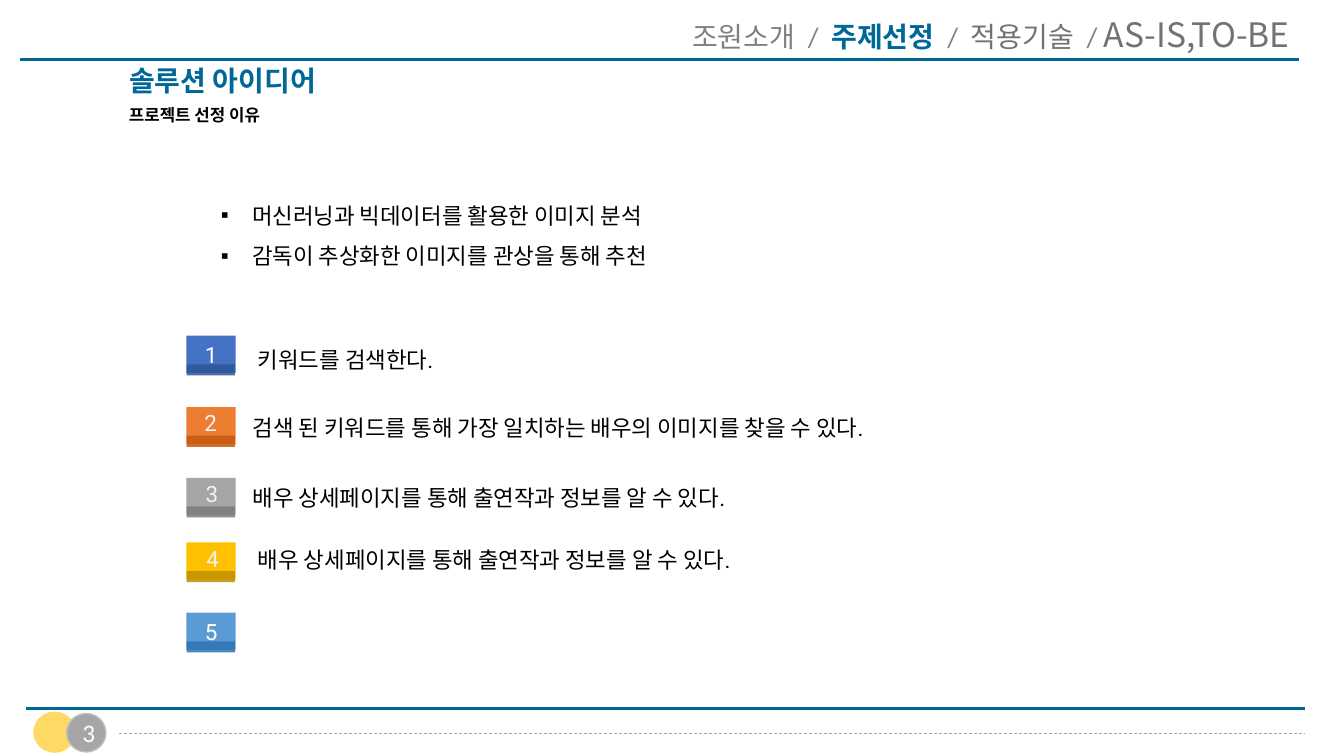
"""Build the solution idea slide with its menu, bullets and numbered steps."""
from dataclasses import dataclass
from typing import Any, Optional

from lxml.etree import SubElement
from pptx import Presentation
from pptx.dml.color import RGBColor
from pptx.enum.dml import MSO_LINE
from pptx.enum.shapes import MSO_CONNECTOR as Link, MSO_SHAPE as Form
from pptx.enum.text import MSO_ANCHOR as Anchor, MSO_AUTO_SIZE as Auto, PP_ALIGN as Align
from pptx.oxml.ns import qn
from pptx.util import Cm, Pt

BLUE = RGBColor(0x00, 0x68, 0x98)
BLACK = RGBColor(0x00, 0x00, 0x00)
WHITE = RGBColor(0xFF, 0xFF, 0xFF)
PALE = RGBColor(0xF2, 0xF2, 0xF2)
GREY = RGBColor(0x80, 0x80, 0x80)
WARM = RGBColor(0x76, 0x71, 0x71)
ASH = RGBColor(0xA6, 0xA6, 0xA6)
EDGE = RGBColor(0xBF, 0xBF, 0xBF)
SAND = RGBColor(0xFF, 0xD9, 0x66)
ROYAL, NAVY = RGBColor(0x44, 0x72, 0xC4), RGBColor(0x2F, 0x55, 0x97)
ORANGE, RUST = RGBColor(0xED, 0x7D, 0x31), RGBColor(0xC5, 0x5A, 0x11)
STONE, SLATE = RGBColor(0xA5, 0xA5, 0xA5), RGBColor(0x7C, 0x7C, 0x7C)
GOLD, BRONZE = RGBColor(0xFF, 0xC0, 0x00), RGBColor(0xBF, 0x90, 0x00)
SKY, OCEAN = RGBColor(0x5B, 0x9B, 0xD5), RGBColor(0x2E, 0x75, 0xB6)

HAN = "Noto Sans CJK KR"
SANS = "Calibri"
STEP = "Roboto"


@dataclass
class Style:
    size: float
    color: RGBColor
    name: str = SANS
    bold: bool = False


@dataclass
class Box:
    left: float
    top: float
    width: float
    height: float

    def cm(self) -> list[Cm]:
        return [Cm(n) for n in (self.left, self.top, self.width, self.height)]


@dataclass
class Rule:
    left: float
    right: float
    top: float
    color: RGBColor
    width: float = 2.25
    dash: Any = None
    alpha: Optional[int] = None


@dataclass
class Badge:
    label: str
    top: float
    fill: RGBColor
    base: RGBColor
    spot: Optional[tuple[float, float]] = None
    text: str = ""
    left: float = 0
    rise: float = 0


def put(item: Any, form: dict[str, Any]) -> None:
    for key, value in form.items():
        setattr(item, key, value)


def write(para: Any, text: str, style: Style, gap: float = 0) -> None:
    run = para.add_run()
    run.text = text
    put(run.font, {"size": Pt(style.size), "name": style.name, "bold": style.bold})
    run.font.color.rgb = style.color
    props = run.font._element
    SubElement(props, qn("a:ea")).set("typeface", HAN)
    if gap:
        props.set("spc", str(round(gap * 100)))


def note(slide: Any, box: Box, text: str, style: Style, **form: Any) -> Any:
    frame = slide.shapes.add_textbox(*box.cm()).text_frame
    put(frame, {"word_wrap": True, **form})
    if text:
        write(frame.paragraphs[0], text, style)
    return frame


def block(slide: Any, kind: Any, box: Box, fill: RGBColor,
          text: str = "", style: Optional[Style] = None) -> Any:
    shape = slide.shapes.add_shape(kind, *box.cm())
    shape.shadow.inherit = False
    shape.fill.solid()
    shape.fill.fore_color.rgb = fill
    shape.line.fill.background()
    if style and text:
        shape.text_frame.vertical_anchor = Anchor.MIDDLE
        para = shape.text_frame.paragraphs[0]
        para.alignment = Align.CENTER
        write(para, text, style)
    return shape


def draw(slide: Any, rule: Rule) -> None:
    y = Cm(rule.top)
    link = slide.shapes.add_connector(Link.STRAIGHT, Cm(rule.left), y, Cm(rule.right), y)
    link.line.color.rgb = rule.color
    put(link.line, {"width": Pt(rule.width), "dash_style": rule.dash})
    props = link._element.spPr
    if rule.alpha:
        tint = props.find(".//" + qn("a:srgbClr"))
        SubElement(tint, qn("a:alpha")).set("val", str(rule.alpha * 1000))
    SubElement(props, qn("a:effectLst"))


def step(slide: Any, badge: Badge) -> None:
    inner = "" if badge.spot else badge.label
    block(slide, Form.RECTANGLE, Box(4.7, badge.top, 1.24, 0.94), badge.fill,
          inner, Style(16, WHITE, STEP))
    draw(slide, Rule(4.7, 5.92, badge.top + 0.86, badge.base, 8, alpha=85))
    if badge.spot:
        x, y = badge.spot
        side, edge = Cm(0.3), Cm(0.13)
        frame = note(slide, Box(4.7 + x, badge.top + y, 0.91, 0.71), badge.label,
                     Style(16, PALE, STEP), vertical_anchor=Anchor.MIDDLE,
                     margin_left=side, margin_right=side, margin_top=edge, margin_bottom=edge)
        put(frame.paragraphs[0], {"alignment": Align.CENTER, "line_spacing": 0.9})
    if badge.text:
        note(slide, Box(badge.left, badge.top + badge.rise, 22.63, 0.94), badge.text,
             Style(16, BLACK, STEP))


def head(slide: Any) -> None:
    title = slide.shapes.title
    put(title, dict(zip(("left", "top", "width", "height"), Box(3, 1.65, 16.33, 0.84).cm())))
    put(title.text_frame, {"auto_size": Auto.NONE, "vertical_anchor": Anchor.MIDDLE})
    para = title.text_frame.paragraphs[0]
    put(para, {"alignment": Align.LEFT, "line_spacing": 0.9})
    write(para, "솔루션 아이디어", Style(20, BLUE, HAN, True))
    note(slide, Box(3, 2.51, 7.24, 0.76), "프로젝트 선정 이유", Style(12, BLACK, bold=True))


def menu(slide: Any) -> None:
    para = note(slide, Box(14.94, 0.23, 17.81, 2.13), "", Style(20, GREY)).paragraphs[0]
    para.alignment = Align.RIGHT
    grey = Style(20, GREY)
    parts = [("조원소개", grey), ("/", grey), ("주제선정", Style(20, BLUE, bold=True)),
             ("/", grey), ("적용기술", Style(20, WARM))]
    for text, style in parts:
        write(para, text, style)
        write(para, " ", style, 4.5)
    write(para, "/ ", grey)
    write(para, "AS-IS,TO-BE", Style(24, WARM, HAN))


def points(slide: Any) -> None:
    body = slide.placeholders[1]
    put(body, dict(zip(("left", "top", "width", "height"), Box(5.31, 4.62, 22.33, 2.18).cm())))
    frame = body.text_frame
    put(frame, {"auto_size": Auto.NONE, "vertical_anchor": Anchor.TOP})
    lines = ["머신러닝과 빅데이터를 활용한 이미지 분석", "감독이 추상화한 이미지를 관상을 통해 추천"]
    for i, text in enumerate(lines):
        para = frame.add_paragraph() if i else frame.paragraphs[0]
        put(para, {"line_spacing": 1.5, "space_before": Pt(0), "alignment": Align.LEFT})
        props = para._p.get_or_add_pPr()
        props.set("marL", str(Cm(0.79)))
        props.set("indent", str(-Cm(0.79)))
        SubElement(props, qn("a:buChar")).set("char", "▪")
        write(para, text, Style(16, BLACK))


def main() -> None:
    deck = Presentation()
    put(deck, {"slide_width": Cm(33.87), "slide_height": Cm(19.05)})
    slide = deck.slides.add_slide(deck.slide_layouts[1])
    head(slide)
    block(slide, Form.OVAL, Box(0.84, 17.93, 1.07, 1.04), SAND)
    page = block(slide, Form.OVAL, Box(1.68, 17.98, 0.99, 0.97), ASH, "3", Style(18, WHITE))
    page.line.color.rgb = EDGE
    page.line.width = Pt(1)
    for rule in (Rule(0.51, 32.74, 1.5, BLUE), Rule(0.66, 32.89, 17.86, BLUE),
                 Rule(3, 32.89, 18.47, ASH, 0.5, MSO_LINE.DASH)):
        draw(slide, rule)
    detail = "배우 상세페이지를 통해 출연작과 정보를 알 수 있다."
    find = "검색 된 키워드를 통해 가장 일치하는 배우의 이미지를 찾을 수 있다."
    for badge in (
        Badge("1", 8.46, ROYAL, NAVY, None, "키워드를 검색한다.", 6.25, 0.13),
        Badge("2", 10.26, ORANGE, RUST, (0.15, 0.08), find, 6.12, 0.05),
        Badge("3", 12.04, STONE, SLATE, (0.18, 0.08), detail, 6.12, 0.03),
        Badge("4", 13.67, GOLD, BRONZE, (0.2, 0.1), detail, 6.25, -0.03),
        Badge("5", 15.44, SKY, OCEAN),
    ):
        step(slide, badge)
    menu(slide)
    points(slide)
    deck.save("out.pptx")


if __name__ == "__main__":
    main()
